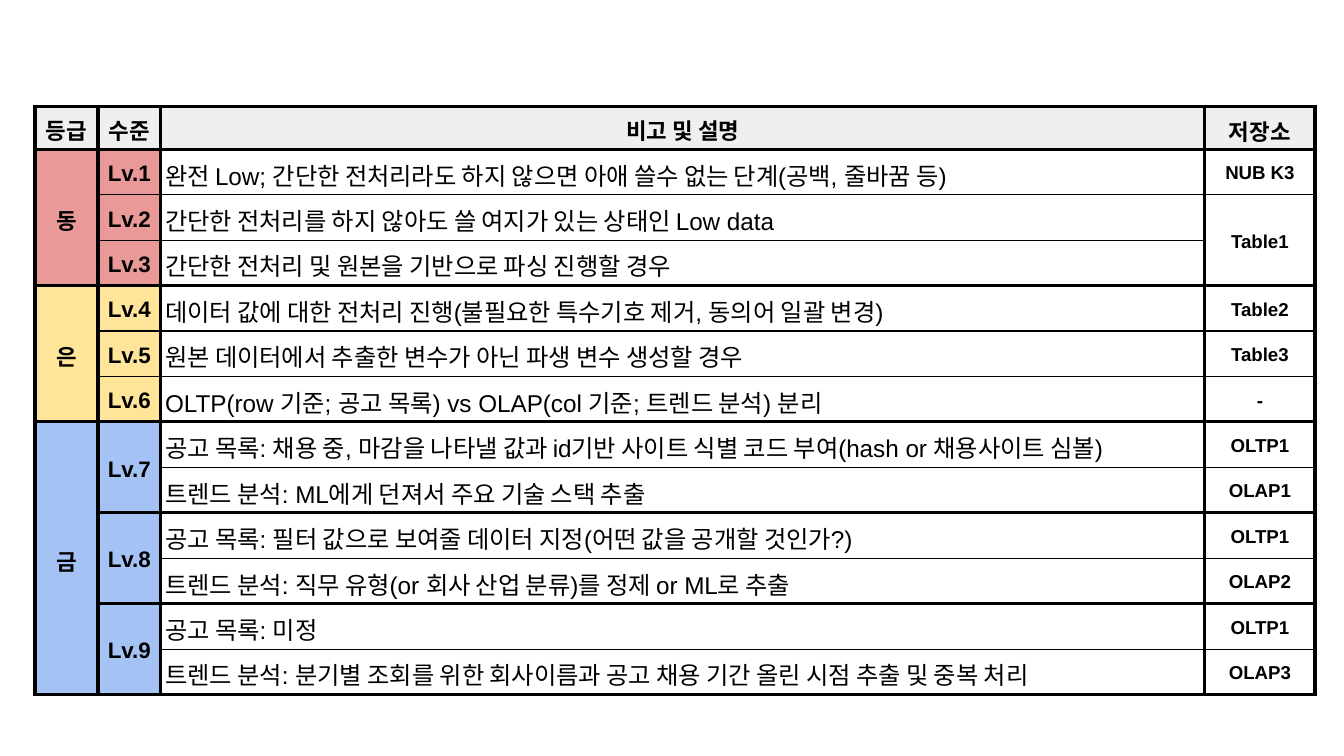
from dataclasses import dataclass

from lxml import etree
from pptx import Presentation
from pptx.dml.color import RGBColor
from pptx.enum.text import MSO_ANCHOR, PP_ALIGN
from pptx.oxml.ns import qn
from pptx.util import Cm, Pt

MID, LOW = MSO_ANCHOR.MIDDLE, MSO_ANCHOR.BOTTOM
LEFT, CENTER = PP_ALIGN.LEFT, PP_ALIGN.CENTER


@dataclass(frozen=True)
class Theme:
    font: str = "Arial"
    ink: str = "000000"
    head: str = "EFEFEF"
    bronze: str = "EA9999"
    silver: str = "FFE599"
    gold: str = "A4C2F4"
    label: int = 12
    body: int = 13
    store: int = 10
    thick: float = 2
    thin: float = 0.67


THEME = Theme()
GRADES = {"동": THEME.bronze, "은": THEME.silver, "금": THEME.gold}
HEAD = ("등급", "수준", "비고 및 설명", "저장소")

# Thick lines frame each block; None continues the cell above.
BLOCKS = [
    [
        ("동", "Lv.1", "완전 Low; 간단한 전처리라도 하지 않으면 아애 쓸수 없는 단계(공백, 줄바꿈 등)", "NUB K3"),
        (None, "Lv.2", "간단한 전처리를 하지 않아도 쓸 여지가 있는 상태인 Low data", "Table1"),
        (None, "Lv.3", "간단한 전처리 및 원본을 기반으로 파싱 진행할 경우", None),
    ],
    [
        ("은", "Lv.4", "데이터 값에 대한 전처리 진행(불필요한 특수기호 제거, 동의어 일괄 변경)", "Table2"),
        (None, "Lv.5", "원본 데이터에서 추출한 변수가 아닌 파생 변수 생성할 경우", "Table3"),
        (None, "Lv.6", "OLTP(row 기준; 공고 목록) vs OLAP(col 기준; 트렌드 분석) 분리", "-"),
    ],
    [
        ("금", "Lv.7", "공고 목록: 채용 중, 마감을 나타낼 값과 id기반 사이트 식별 코드 부여(hash or 채용사이트 심볼)", "OLTP1"),
        (None, None, "트렌드 분석: ML에게 던져서 주요 기술 스택 추출", "OLAP1"),
    ],
    [
        (None, "Lv.8", "공고 목록: 필터 값으로 보여줄 데이터 지정(어떤 값을 공개할 것인가?)", "OLTP1"),
        (None, None, "트렌드 분석: 직무 유형(or 회사 산업 분류)를 정제 or ML로 추출", "OLAP2"),
    ],
    [
        (None, "Lv.9", "공고 목록: 미정", "OLTP1"),
        (None, None, "트렌드 분석: 분기별 조회를 위한 회사이름과 공고 채용 기간 올린 시점 추출 및 중복 처리", "OLAP3"),
    ],
]

# Each field: first and last grid column, then its body format.
FIELDS = [
    (0, 0, {"size": THEME.label, "bold": True, "align": CENTER}),
    (1, 1, {"size": THEME.label, "bold": True, "align": CENTER}),
    (2, 10, {"size": THEME.body, "bold": False, "align": LEFT}),
    (11, 11, {"size": THEME.store, "bold": True, "align": CENTER}),
]
WIDTHS = [1.19, 1.19, 4.8] + [1.98] * 7 + [1.07, 2.08]
HEIGHTS = [0.81, 0.69, 0.48, 0.48, 0.69, 0.69, 0.48] + [0.69] * 6


def edge(cell, sides):
    """Draw the cell's borders; sides maps L, R, T, B to points."""
    props = cell._tc.get_or_add_tcPr()
    for side, width in sides.items():
        line = etree.SubElement(props, qn(f"a:ln{side}"), w=str(Pt(width)))
        fill = etree.SubElement(line, qn("a:solidFill"))
        etree.SubElement(fill, qn("a:srgbClr"), val=THEME.ink)


def write(cell, text, size, bold, align, anchor=MID):
    margins = {"margin_left": Cm(0.08), "margin_right": Cm(0.08),
               "margin_top": Cm(0.05), "margin_bottom": Cm(0.05)}
    for name, value in {**margins, "vertical_anchor": anchor}.items():
        setattr(cell, name, value)
    para = cell.text_frame.paragraphs[0]
    para.alignment, para.line_spacing = align, 1.15
    run = para.add_run()
    run.text = text
    for name, value in {"name": THEME.font, "size": Pt(size), "bold": bold}.items():
        setattr(run.font, name, value)
    run.font.color.rgb = RGBColor.from_string(THEME.ink)


def paint(cell, color):
    if color:
        cell.fill.solid()
        cell.fill.fore_color.rgb = RGBColor.from_string(color)
    else:
        cell.fill.background()


def grade_table(slide, left, top, width, height):
    rows = [HEAD] + [row for block in BLOCKS for row in block]
    starts = {0, 1, len(rows)}
    for block in BLOCKS:
        starts.add(max(starts) if block is None else rows.index(block[0]))

    frame = slide.shapes.add_table(len(rows), len(WIDTHS), left, top, width, height)
    table = frame.table
    table.first_row = table.horz_banding = False
    for col, size in zip(table.columns, WIDTHS):
        col.width = Cm(size)
    for row, size in zip(table.rows, HEIGHTS):
        row.height = Cm(size)

    color = THEME.head
    for r, row in enumerate(rows):
        color = GRADES.get(row[0], color)
        for f, (first, last, style) in enumerate(FIELDS):
            if row[f] is None:
                continue
            end = r + 1
            while end < len(rows) and rows[end][f] is None:
                end += 1
            cell = table.cell(r, first)
            if (end - 1, last) != (r, first):
                cell.merge(table.cell(end - 1, last))
            upper, lower = (THEME.thick if n in starts else THEME.thin for n in (r, end))
            edge(cell, {"L": THEME.thick, "R": THEME.thick, "T": upper, "B": lower})
            paint(cell, color if r == 0 or f < 2 else None)
            if r == 0:
                write(cell, row[f], THEME.label, True, CENTER, LOW if f == 3 else MID)
            else:
                write(cell, row[f], **style)


def main():
    deck = Presentation()
    deck.slide_width, deck.slide_height = Cm(25.4), Cm(14.29)
    slide = deck.slides.add_slide(deck.slide_layouts[6])
    grade_table(slide, Cm(0.66), Cm(2.01), Cm(sum(WIDTHS)), Cm(sum(HEIGHTS)))
    deck.save("out.pptx")


if __name__ == "__main__":
    main()
